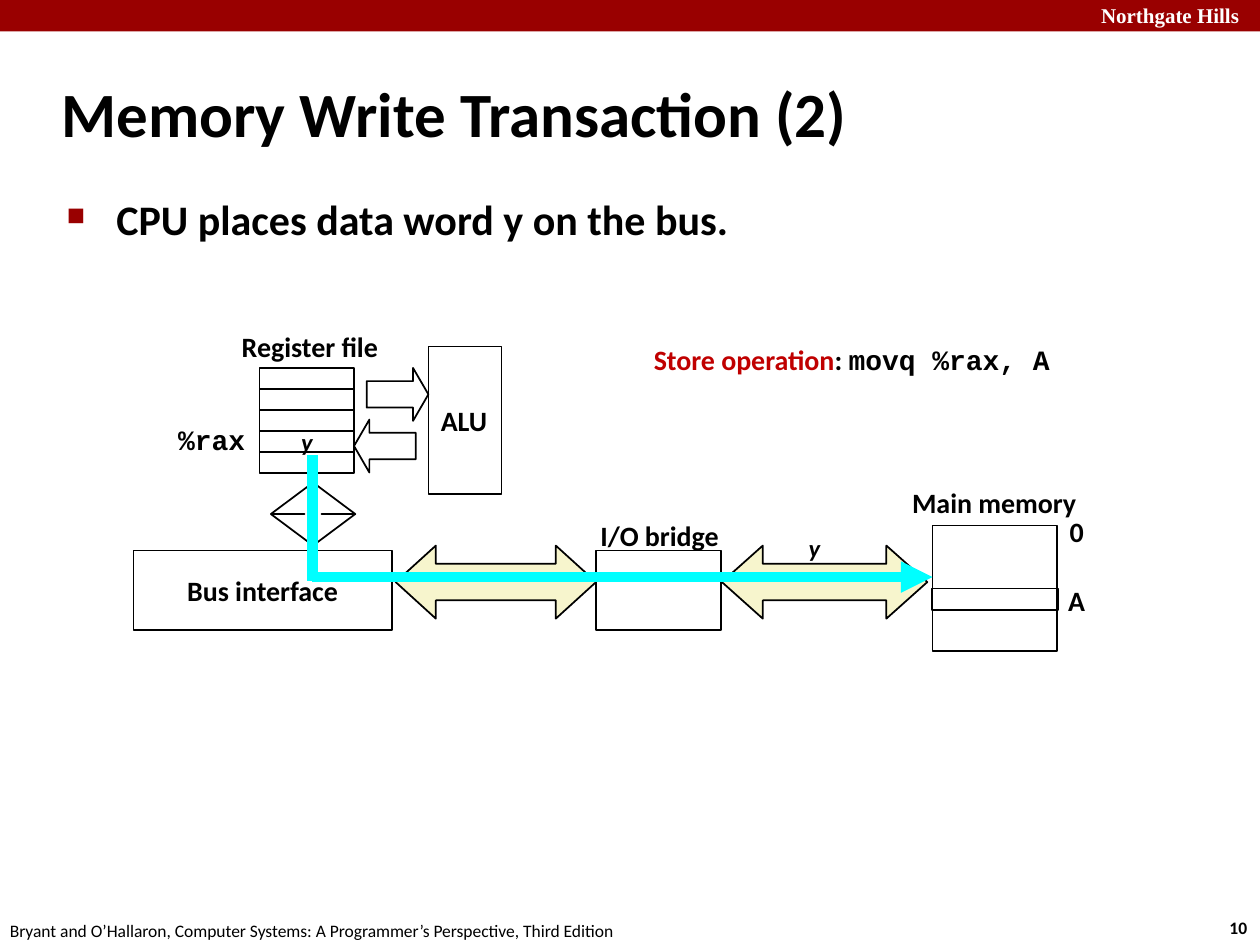
from lxml.etree import SubElement
from pptx import Presentation
from pptx.dml.color import RGBColor
from pptx.enum.shapes import MSO_CONNECTOR, MSO_SHAPE
from pptx.enum.text import MSO_ANCHOR, MSO_AUTO_SIZE, PP_ALIGN
from pptx.oxml.ns import qn
from pptx.util import Inches, Pt

COLORS = {"red": "990000", "accent": "C00000", "black": "000000",
          "white": "FFFFFF", "cream": "F7F5CD", "cyan": "00FFFF"}
MONO = "Courier New"


def rgb(name):
    return RGBColor.from_string(COLORS[name])


def add_run(para, text, size=16, font="Calibri", color="black", bold=True, italic=False):
    run = para.add_run()
    run.text = text
    face = run.font
    face.size, face.name = Pt(size), font
    face.bold, face.italic = bold, italic
    face.color.rgb = rgb(color)


def set_text(shape, runs, center=False, middle=True, wrap=False):
    """Fill a shape with one paragraph; runs are (text, style) pairs."""
    frame = shape.text_frame
    frame.word_wrap = wrap
    frame.vertical_anchor = MSO_ANCHOR.MIDDLE if middle else MSO_ANCHOR.TOP
    para = frame.paragraphs[0]
    para.alignment = PP_ALIGN.CENTER if center else PP_ALIGN.LEFT
    for text, style in runs:
        add_run(para, text, **style)
    return para


def add_label(slide, box, runs, grow=True, **layout):
    shape = slide.shapes.add_textbox(*map(Inches, box))
    para = set_text(shape, runs, **layout)
    if grow:
        shape.text_frame.auto_size = MSO_AUTO_SIZE.SHAPE_TO_FIT_TEXT
    return para


def add_block(slide, box, kind=MSO_SHAPE.RECTANGLE, fill=None, line="black", adjust=()):
    shape = slide.shapes.add_shape(kind, *map(Inches, box))
    shape.shadow.inherit = False
    for i, value in enumerate(adjust):
        shape.adjustments[i] = value
    if fill:
        shape.fill.solid()
        shape.fill.fore_color.rgb = rgb(fill)
    else:
        shape.fill.background()
    if line:
        shape.line.color.rgb = rgb(line)
        shape.line.width = Pt(1)
    else:
        shape.line.fill.background()
    return shape


def add_path(slide, start, end, arrow=False):
    path = slide.shapes.add_connector(MSO_CONNECTOR.STRAIGHT, *map(Inches, start + end))
    path.line.color.rgb = rgb("cyan")
    path.line.width = Pt(6)
    if arrow:
        SubElement(path.line._get_or_add_ln(), qn("a:tailEnd"), type="triangle")
    SubElement(path._element.spPr, qn("a:effectLst"))


def set_bullet(para):
    props = para._p.get_or_add_pPr()
    props.set("marL", str(Inches(0.32)))
    props.set("indent", str(Inches(-0.32)))
    space = SubElement(props, qn("a:spcBef"))
    SubElement(space, qn("a:spcPct"), val="20000")
    color = SubElement(props, qn("a:buClr"))
    SubElement(color, qn("a:srgbClr"), val=COLORS["red"])
    SubElement(props, qn("a:buSzPct"), val="60000")
    SubElement(props, qn("a:buChar"), char="■")


def add_frame(slide):
    # Header band, footer, title and bullet
    add_block(slide, (0, 0, 10, 0.25), fill="red", line=None)
    add_label(slide, (8.64, -0.03, 1.43, 0.3),
              [("Northgate Hills", {"size": 12, "font": "Times New Roman", "color": "white"})],
              middle=False)
    add_label(slide, (9.66, 7.23, 0.37, 0.27), [("10", {"size": 10})], middle=False)
    add_label(slide, (-0.02, 7.25, 5.08, 0.27),
              [("Bryant and O’Hallaron, Computer Systems: "
                "A Programmer’s Perspective, Third Edition", {"size": 10, "bold": False})],
              middle=False)
    add_label(slide, (0.39, 0.48, 8.3, 0.83),
              [("Memory Write Transaction (2)", {"size": 36})], grow=False, wrap=True)
    para = add_label(slide, (0.43, 1.49, 8.64, 5.44),
                     [(" CPU places data word y on the bus.", {"size": 24})],
                     grow=False, middle=False, wrap=True)
    set_bullet(para)


def add_parts(slide):
    word = [("y", {"size": 14, "italic": True})]

    # Memory, bridge and the two buses
    add_block(slide, (7.4, 4.17, 0.99, 1))
    add_block(slide, (4.73, 4.37, 0.99, 0.63))
    for left, width, head in ((5.73, 1.63, 0.56), (3.14, 1.59, 0.55)):
        add_block(slide, (left, 4.33, width, 0.58), MSO_SHAPE.LEFT_RIGHT_ARROW,
                  fill="cream", adjust=(0.5, head))

    # Register file
    step = 1 / 6
    rows = [add_block(slide, (2.06, 2.92 + i * step, 0.75, step)) for i in range(5)]
    set_text(rows[3], word, center=True)

    # ALU and its arrows
    for kind, left, top in ((MSO_SHAPE.RIGHT_ARROW, 2.91, 2.92),
                            (MSO_SHAPE.LEFT_ARROW, 2.81, 3.33)):
        add_block(slide, (left, top, 0.49, 0.42), kind, adjust=(0.5, 0.29))
    set_text(add_block(slide, (3.4, 2.75, 0.58, 1.17)), [("ALU", {})])

    # Bus interface
    add_block(slide, (2.15, 3.83, 0.67, 0.5), MSO_SHAPE.UP_DOWN_ARROW, adjust=(0.5, 0.2))
    port = add_block(slide, (1.06, 4.37, 2.05, 0.63), fill="white")
    set_text(port, [("Bus interface", {})], center=True)

    # Path of the data word, then the memory cell at A
    add_path(slide, (2.48, 3.61), (2.48, 4.61))
    add_label(slide, (6.32, 4.18, 0.29, 0.34), word)
    add_path(slide, (2.48, 4.58), (7.4, 4.58), arrow=True)
    add_block(slide, (7.4, 4.67, 1, 0.17))


def add_names(slide):
    # Part names and addresses
    for text, left, top, width, center, style in (
            ("Register file", 1.81, 2.56, 1.3, True, {}),
            ("Main memory", 7.13, 3.8, 1.52, True, {}),
            ("0", 8.39, 4.03, 0.32, False, {}),
            ("A", 8.38, 4.58, 0.34, False, {}),
            ("%rax", 1.31, 3.3, 0.74, True, {"font": MONO}),
            ("I/O bridge", 4.66, 4.06, 1.15, True, {})):
        add_label(slide, (left, top, width, 0.37), [(text, style)], center=center)

    # Instruction
    add_label(slide, (5.09, 2.67, 3.39, 0.64),
              [("Store operation", {"color": "accent"}), (": ", {}),
               ("movq %rax, A", {"font": MONO})], middle=False)


def main():
    deck = Presentation()
    deck.slide_width, deck.slide_height = Inches(10), Inches(7.5)
    slide = deck.slides.add_slide(deck.slide_layouts[6])
    add_frame(slide)
    add_parts(slide)
    add_names(slide)
    deck.save("out.pptx")


if __name__ == "__main__":
    main()
